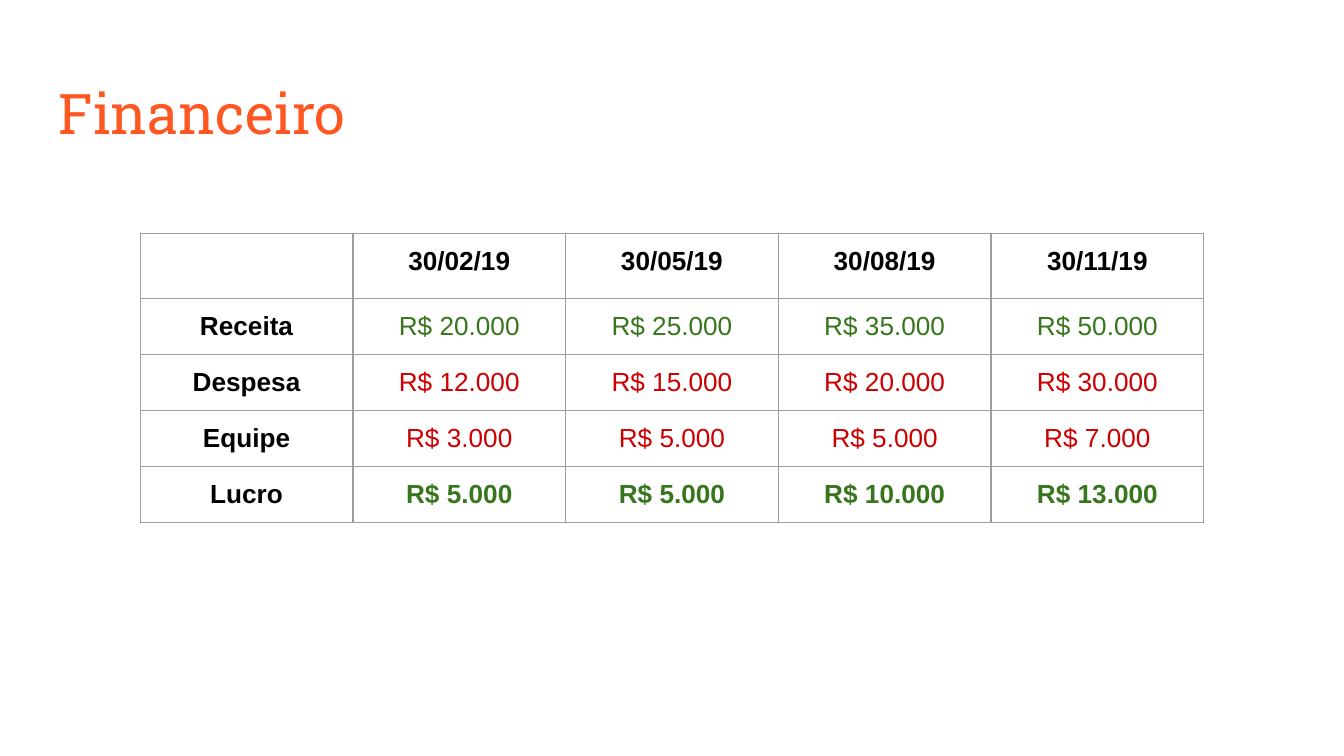
import pptx
import pptx.dml.color
import pptx.enum.text
import pptx.oxml
import pptx.oxml.ns
import pptx.util

Cm = pptx.util.Cm
Pt = pptx.util.Pt
RGBColor = pptx.dml.color.RGBColor
PP_ALIGN = pptx.enum.text.PP_ALIGN
MSO_ANCHOR = pptx.enum.text.MSO_ANCHOR

ORANGE = RGBColor(0xFF, 0x57, 0x22)
BLACK = RGBColor(0, 0, 0)
GREEN = RGBColor(0x38, 0x76, 0x1D)
RED = RGBColor(0xCC, 0, 0)
GRAY = RGBColor(0x9E, 0x9E, 0x9E)

PADDING = Cm(0.25)
HEADER_HEIGHT = Cm(1.23)

DATES = ["30/02/19", "30/05/19", "30/08/19", "30/11/19"]
# label, amounts, colour of amounts, bold amounts
ENTRIES = [
    ("Receita", ["20.000", "25.000", "35.000", "50.000"], GREEN, False),
    ("Despesa", ["12.000", "15.000", "20.000", "30.000"], RED, False),
    ("Equipe", ["3.000", "5.000", "5.000", "7.000"], RED, False),
    ("Lucro", ["5.000", "5.000", "10.000", "13.000"], GREEN, True),
]


def write(tf, text, font="Arial", size=14, color=BLACK, bold=False,
          align=PP_ALIGN.CENTER):
    p = tf.paragraphs[0]
    p.alignment = align
    r = p.add_run()
    r.text = text
    r.font.name = font
    r.font.size = Pt(size)
    r.font.bold = bold
    r.font.color.rgb = color


def set_margins(box, margin):
    """Give a cell or text frame the same margin on all sides."""
    box.margin_left = box.margin_right = margin
    box.margin_top = box.margin_bottom = margin


def set_borders(cell, color, width):
    tc_pr = cell._tc.get_or_add_tcPr()
    for i, side in enumerate(("lnL", "lnR", "lnT", "lnB")):
        line = pptx.oxml.parse_xml(
            f'<a:{side} {pptx.oxml.ns.nsdecls("a")} w="{width}"><a:solidFill>'
            f'<a:srgbClr val="{color}"/></a:solidFill></a:{side}>')
        tc_pr.insert(i, line)  # borders come before the fill


def place_title(s, text, left, top, width, height):
    sp = s.shapes.title
    sp.left, sp.top, sp.width, sp.height = left, top, width, height
    tf = sp.text_frame
    tf.word_wrap = True
    tf.auto_size = pptx.enum.text.MSO_AUTO_SIZE.NONE
    tf.vertical_anchor = MSO_ANCHOR.TOP
    set_margins(tf, PADDING)
    write(tf, text, font="Roboto Slab", size=30, color=ORANGE,
          align=PP_ALIGN.LEFT)


def place_finance_table(s, left, top, width, height):
    rows, cols = len(ENTRIES) + 1, len(DATES) + 1
    table = s.shapes.add_table(rows, cols, left, top, width, height).table
    for col in table.columns:
        col.width = width // cols
    for row in table.rows:
        row.height = (height - HEADER_HEIGHT) // (rows - 1)
    table.rows[0].height = HEADER_HEIGHT

    for cell in table.iter_cells():
        set_margins(cell, PADDING)
        cell.vertical_anchor = MSO_ANCHOR.TOP
        cell.fill.background()
        set_borders(cell, GRAY, Pt(0.75))
    set_margins(table.cell(0, 0), 0)  # keeps the empty corner from growing

    for j, date in enumerate(DATES, 1):
        write(table.cell(0, j).text_frame, date, bold=True)
    for i, (label, amounts, color, bold) in enumerate(ENTRIES, 1):
        write(table.cell(i, 0).text_frame, label, bold=True)
        for j, amount in enumerate(amounts, 1):
            write(table.cell(i, j).text_frame, f"R$ {amount}",
                  color=color, bold=bold)


def main():
    prs = pptx.Presentation()
    prs.slide_width, prs.slide_height = Cm(25.4), Cm(14.29)
    s = prs.slides.add_slide(prs.slide_layouts[5])
    place_title(s, "Financeiro", Cm(0.86), Cm(1.24), Cm(23.67), Cm(1.6))
    place_finance_table(s, Cm(2.65), Cm(4.41), Cm(20.1), Cm(5.47))
    prs.save("out.pptx")


if __name__ == "__main__":
    main()
